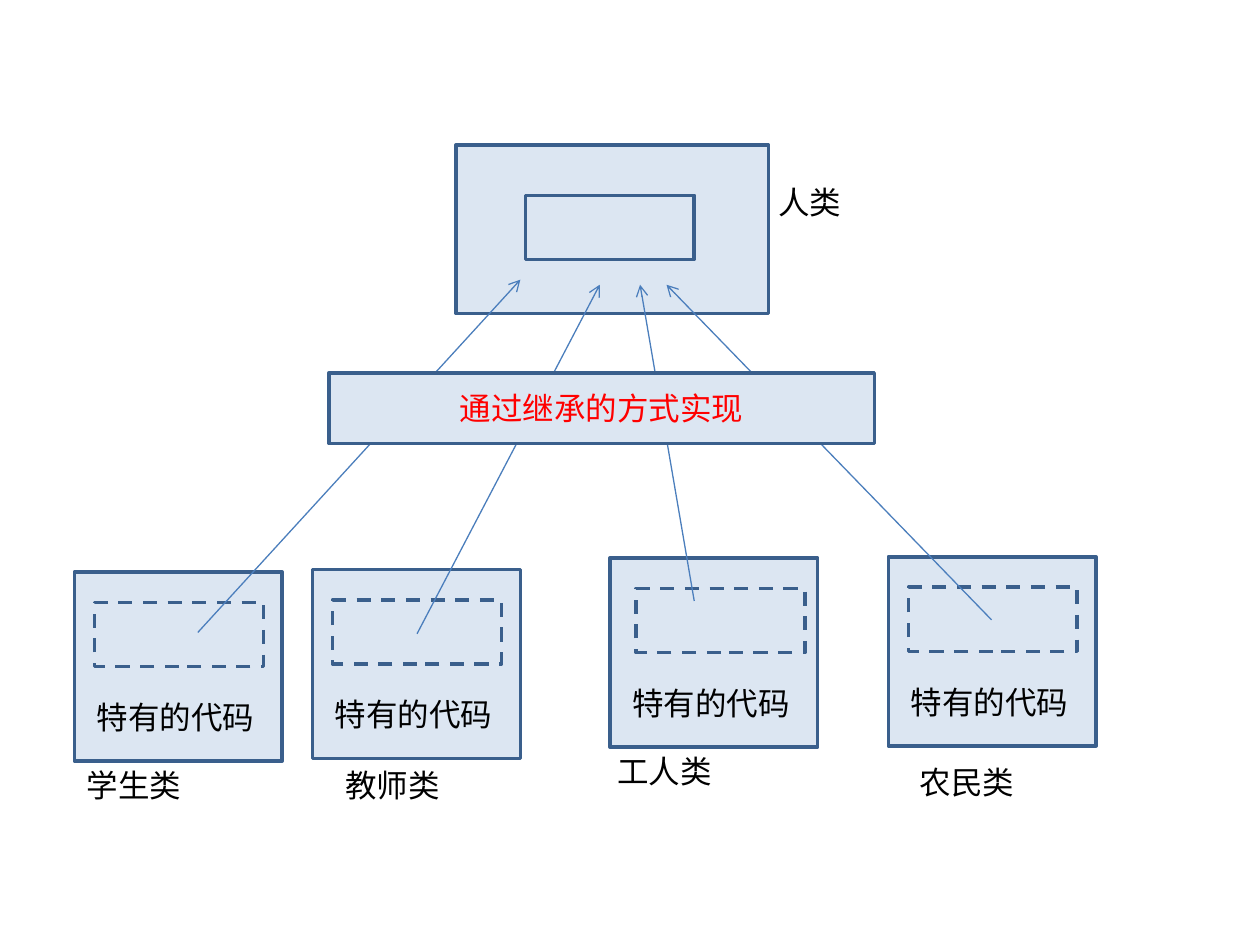
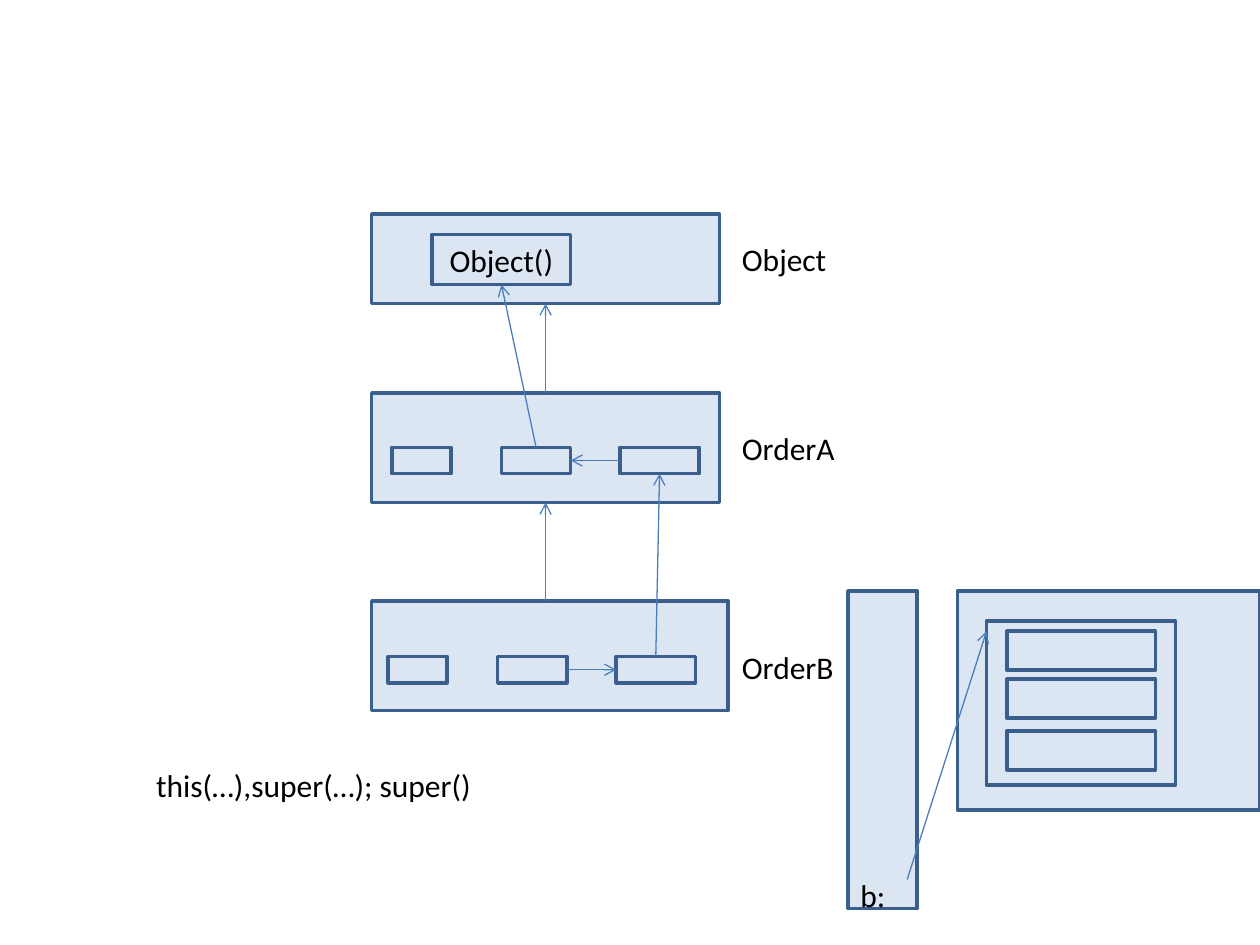
from lxml import etree
from pptx import Presentation
from pptx.dml.color import RGBColor
from pptx.enum.dml import MSO_LINE
from pptx.enum.shapes import MSO_CONNECTOR, MSO_SHAPE
from pptx.enum.text import MSO_ANCHOR, MSO_AUTO_SIZE, PP_ALIGN
from pptx.oxml.ns import qn
from pptx.util import Inches, Pt

PALE_BLUE = RGBColor(0xDC, 0xE6, 0xF2)
BORDER_BLUE = RGBColor(0x3A, 0x5F, 0x8C)
ARROW_BLUE = RGBColor(0x4B, 0x7E, 0xBC)
BLACK = RGBColor(0, 0, 0)
RED = RGBColor(0xFF, 0, 0)
FONT = "Calibri"
BLANK_LAYOUT = 6
TOP, LEFT, BOTTOM, RIGHT = range(4)


def write_text(frame, text, size=18, color=BLACK, align=PP_ALIGN.LEFT,
               anchor=MSO_ANCHOR.TOP):
    frame.word_wrap = True
    frame.vertical_anchor = anchor
    para = frame.paragraphs[0]
    para.alignment = align
    span = para.add_run()
    span.text = text
    span.font.name = FONT
    span.font.size = Pt(size)
    span.font.color.rgb = color


class Diagram:
    """Adds slides to a deck and draws on the current one; lengths in inches."""

    def __init__(self, deck):
        self.deck = deck
        self.slide = None

    def new_slide(self):
        layout = self.deck.slide_layouts[BLANK_LAYOUT]
        self.slide = self.deck.slides.add_slide(layout)

    def box(self, left, top, width, height, text="", color=BLACK, dashed=False):
        box = self.slide.shapes.add_shape(
            MSO_SHAPE.RECTANGLE, Inches(left), Inches(top), Inches(width), Inches(height))
        box.shadow.inherit = False
        box.fill.solid()
        box.fill.fore_color.rgb = PALE_BLUE
        box.line.color.rgb = BORDER_BLUE
        box.line.width = Pt(2)
        if dashed:
            box.line.dash_style = MSO_LINE.DASH
        if text:
            write_text(box.text_frame, text, color=color,
                       align=PP_ALIGN.CENTER, anchor=MSO_ANCHOR.MIDDLE)
        return box

    def label(self, left, top, width, text):
        label = self.slide.shapes.add_textbox(
            Inches(left), Inches(top), Inches(width), Inches(0.4))
        write_text(label.text_frame, text)
        label.text_frame.auto_size = MSO_AUTO_SIZE.SHAPE_TO_FIT_TEXT

    def arrow(self, start, end):
        """Draw an arrow; each end is a point (x, y) or a pair (box, side)."""
        joins = [isinstance(place[0], (int, float)) is False for place in (start, end)]
        points = [(0, 0) if joined else place
                  for joined, place in zip(joins, (start, end))]
        arrow = self.slide.shapes.add_connector(
            MSO_CONNECTOR.STRAIGHT, *(Inches(value) for point in points for value in point))
        if joins[0]:
            arrow.begin_connect(*start)
        if joins[1]:
            arrow.end_connect(*end)
        arrow.line.color.rgb = ARROW_BLUE
        arrow.line.width = Pt(0.75)
        etree.SubElement(arrow.line._get_or_add_ln(), qn("a:tailEnd"), type="arrow")
        etree.SubElement(arrow._element.spPr, qn("a:effectLst"))


def draw_inheritance(diagram):
    diagram.new_slide()
    diagram.box(3.62, 1.15, 2.48, 1.34)

    # class name, card corner, inset of the dashed box, name corner
    classes = [
        ("学生类", (0.59, 4.54), 0.16, (0.59, 6.03)),
        ("教师类", (2.48, 4.52), 0.16, (2.64, 6.03)),
        ("工人类", (4.84, 4.43), 0.21, (4.8, 5.92)),
        ("农民类", (7.05, 4.42), 0.16, (7.2, 6.01)),
    ]
    for name, (left, top), inset, name_corner in classes:
        diagram.box(left, top, 1.65, 1.5)
        diagram.box(left + inset, top + 0.24, 1.34, 0.51, dashed=True)
        diagram.label(left + 0.08, top + 0.95, 1.5, "特有的代码")
        diagram.label(*name_corner, 1.97, name)

    for start, end in [
        ((1.57, 5.02), (4.13, 2.22)),
        ((3.31, 5.03), (4.76, 2.26)),
        ((5.51, 4.77), (5.08, 2.26)),
        ((7.87, 4.92), (5.29, 2.26)),
    ]:
        diagram.arrow(start, end)

    diagram.box(4.17, 1.55, 1.34, 0.51)
    diagram.label(6.08, 1.4, 1.77, "人类")
    diagram.box(2.61, 2.96, 4.33, 0.56, "通过继承的方式实现", color=RED)


def draw_constructors(diagram, left, top):
    """Draw the row of three constructor boxes inside a class."""
    return [diagram.box(left + offset, top, width, 0.21)
            for offset, width in ((0, 0.47), (0.87, 0.55), (1.81, 0.63))]


def draw_constructor_calls(diagram):
    diagram.new_slide()
    order_a = diagram.box(2.95, 3.12, 2.76, 0.87)
    diagram.box(2.95, 4.77, 2.83, 0.87)
    object_class = diagram.box(2.95, 1.7, 2.76, 0.71)
    for name, top in (("Object", 1.86), ("OrderA", 3.36), ("OrderB", 5.09)):
        diagram.label(5.79, top, 1.26, name)
    diagram.arrow((4.33, 4.77), (order_a, BOTTOM))
    diagram.arrow((order_a, TOP), (object_class, BOTTOM))

    object_call = diagram.box(3.43, 1.86, 1.1, 0.4, "Object()")
    _, middle_a, last_a = draw_constructors(diagram, 3.11, 3.55)
    _, middle_b, last_b = draw_constructors(diagram, 3.08, 5.21)
    diagram.label(1.14, 6.03, 5.28, "this(…),super(…); super()")
    diagram.arrow((last_b, TOP), (last_a, BOTTOM))
    diagram.arrow((middle_b, RIGHT), (last_b, LEFT))
    diagram.arrow((last_a, LEFT), (middle_a, RIGHT))
    diagram.arrow((middle_a, TOP), (object_call, BOTTOM))

    # stack and heap
    diagram.box(6.73, 4.69, 0.55, 2.52)
    diagram.box(7.6, 4.69, 2.4, 1.74)
    diagram.label(6.73, 6.9, 0.55, "b:")
    diagram.box(7.83, 4.93, 1.5, 1.3)
    for top in (5.8, 5.39, 5.01):
        diagram.box(7.99, top, 1.18, 0.31)
    diagram.arrow((7.2, 6.98), (7.83, 5.01))


def main():
    deck = Presentation()
    deck.slide_width = Inches(10)
    deck.slide_height = Inches(7.5)
    diagram = Diagram(deck)
    draw_inheritance(diagram)
    draw_constructor_calls(diagram)
    deck.save("out.pptx")


if __name__ == "__main__":
    main()
